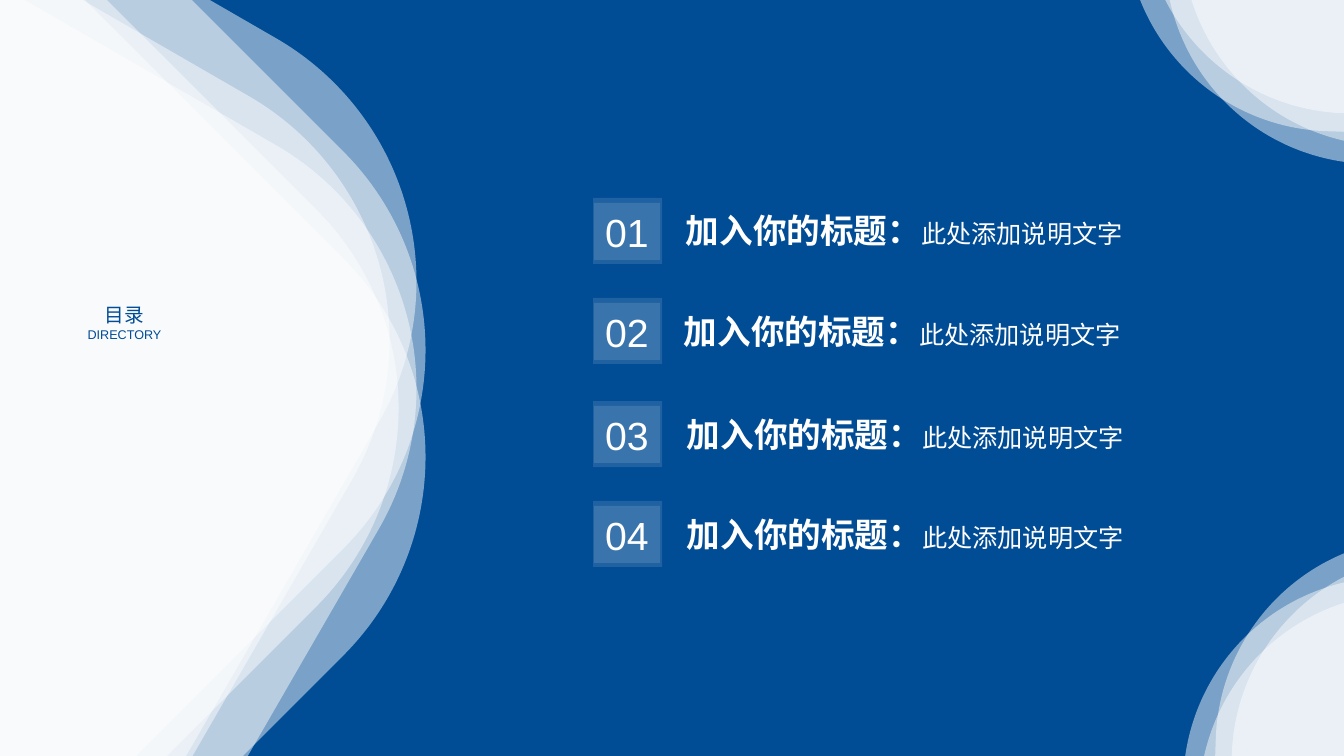
from pptx import Presentation
from pptx.dml.color import RGBColor
from pptx.enum.lang import MSO_LANGUAGE_ID as Lang
from pptx.enum.shapes import MSO_SHAPE as Kind
from pptx.enum.text import MSO_ANCHOR as Anchor, MSO_AUTO_SIZE as Fit, PP_ALIGN as Align
from pptx.oxml.xmlchemy import OxmlElement as Node
from pptx.util import Emu, Pt

PX = 12192000 / 1344
WHITE, BLUE = "FFFFFF", "004C95"


def form(home, kind, box, hue, alpha=100, adj=None, turn=0):
    item = home.add_shape(kind, *[Emu(round(v * PX)) for v in box])
    item.shadow.inherit = False
    item.line.fill.background()
    item.fill.solid()
    item.fill.fore_color.rgb = RGBColor.from_string(hue)
    if alpha < 100:
        node = Node("a:alpha")
        node.set("val", str(alpha * 1000))
        item.fill._xPr.solidFill[0].append(node)
    if adj is not None:
        item.adjustments[0] = adj
    item.rotation = turn
    return item


def write(para, text, size, hue, bold=False):
    run = para.add_run()
    run.text = text
    look = {"name": "Arial", "size": Pt(size), "bold": bold,
            "language_id": Lang.SIMPLIFIED_CHINESE}
    for key, val in look.items():
        setattr(run.font, key, val)
    run.font.color.rgb = RGBColor.from_string(hue)


deck = Presentation()
deck.slide_width, deck.slide_height = Emu(12192000), Emu(6858000)
slide = deck.slides.add_slide(deck.slide_layouts[6])
shapes = slide.shapes

form(shapes, Kind.RECTANGLE, (0, 0, 1344, 756), BLUE)

waves = [
    (936, 30, [(-588, -118), (-615, -60), (-588, -11)]),
    (694, 76.9, [(1211, 542), (1227, 558)]),
    (694, 346.9, [(1130, -558), (1147, -576)]),
]
for size, turn, spots in waves:
    group = shapes.add_group_shape()
    for left, top in spots:
        for step in (0, 15):
            form(group.shapes, Kind.ROUNDED_RECTANGLE, (left, top, size, size),
                 WHITE, 48, 0.3, (turn + step) % 360)

head = shapes.add_textbox(*[Emu(round(v * PX)) for v in (27, 298, 195, 97)])
frame = head.text_frame
frame.word_wrap = False
for para, text, size in [(frame.paragraphs[0], "目录", 14),
                         (frame.add_paragraph(), "DIRECTORY", 9)]:
    para.alignment = Align.CENTER
    write(para, text, size, BLUE)

rows = [(198, 676, 205), (298, 674, 306), (401, 677, 409), (501, 677, 509)]
for num, (top, left, line) in enumerate(rows, 1):
    title = shapes.add_textbox(*[Emu(round(v * PX)) for v in (left, line, 554, 50)])
    title.text_frame.word_wrap = True
    title.text_frame.auto_size = Fit.SHAPE_TO_FIT_TEXT
    para = title.text_frame.paragraphs[0]
    write(para, "加入你的标题：", 24, WHITE, True)
    write(para, "此处添加说明文字", 18, WHITE)

    badge = shapes.add_group_shape()
    form(badge.shapes, Kind.PARALLELOGRAM, (593, top, 69, 66), WHITE, 12, 0)
    tile = form(badge.shapes, Kind.RECTANGLE, (594, top + 5, 66, 57), WHITE, 12)
    frame = tile.text_frame
    for key, val in {"word_wrap": True, "auto_size": Fit.SHAPE_TO_FIT_TEXT,
                     "vertical_anchor": Anchor.TOP}.items():
        setattr(frame, key, val)
    para = frame.paragraphs[0]
    para.alignment = Align.CENTER
    write(para, f"{num:02}", 28, WHITE)

deck.save("out.pptx")
